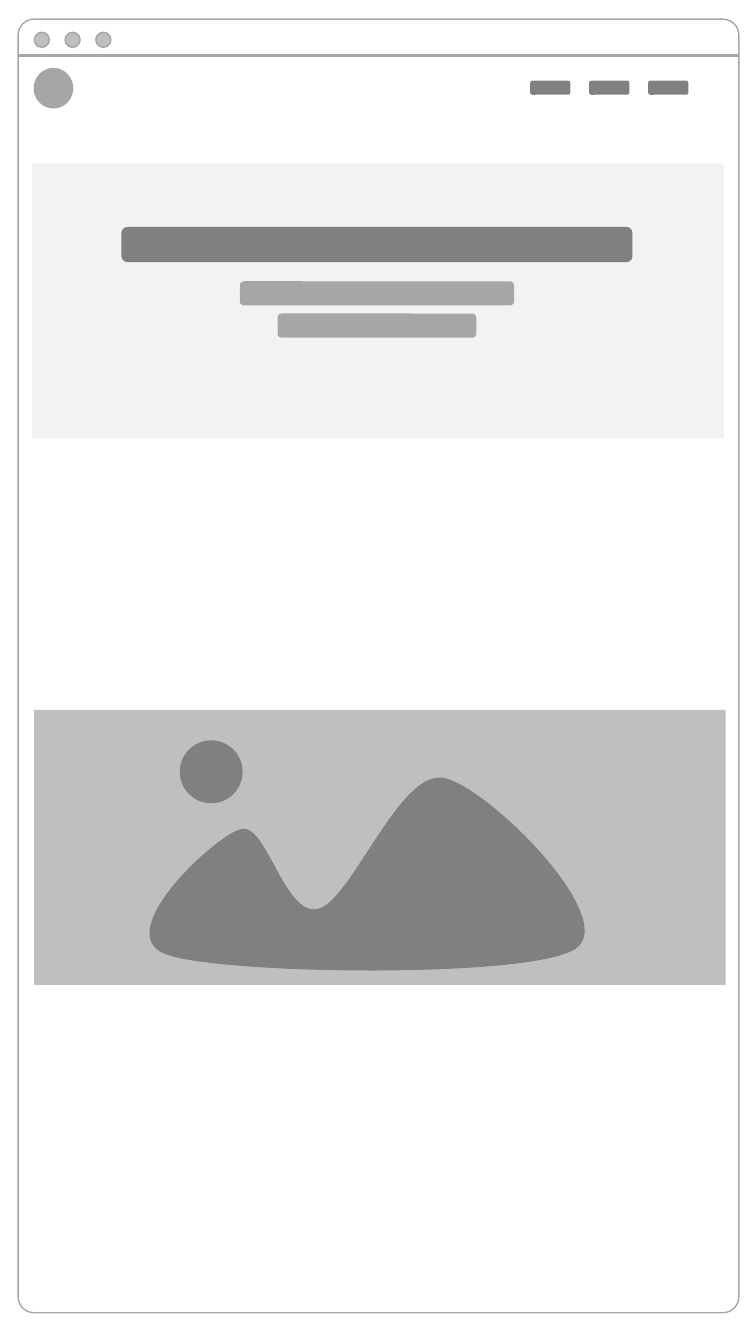
from dataclasses import dataclass

from lxml import etree
from pptx import Presentation
from pptx.dml.color import RGBColor
from pptx.enum.shapes import MSO_CONNECTOR, MSO_SHAPE
from pptx.oxml.ns import qn
from pptx.util import Inches, Pt

RECT = MSO_SHAPE.RECTANGLE
ROUND = MSO_SHAPE.ROUNDED_RECTANGLE
OVAL = MSO_SHAPE.OVAL
STRAIGHT = MSO_CONNECTOR.STRAIGHT


@dataclass(frozen=True)
class Theme:
    """Colours and line widths of the wireframe."""
    dark: str = "808080"
    mid: str = "A6A6A6"
    soft: str = "BFBFBF"
    pale: str = "F2F2F2"
    thin: float = 1
    rule: float = 1.5


THEME = Theme()
HILL = (1.31, 2.42)
CURVES = [
    [(0.76, 2.22), (1.79, 1.26), (2.05, 1.19)],
    [(2.3, 1.12), (2.48, 2.07), (2.82, 1.98)],
    [(3.15, 1.9), (3.62, 0.62), (4.05, 0.68)],
    [(4.47, 0.74), (5.82, 2.08), (5.36, 2.37)],
    [(4.9, 2.66), (1.86, 2.62), HILL],
]


def paint(shape, fill=None, line=None):
    """Set the fill and outline of a shape and drop its shadow."""
    shape.shadow.inherit = False
    if fill:
        shape.fill.solid()
        shape.fill.fore_color.rgb = RGBColor.from_string(fill)
    else:
        shape.fill.background()
    if line:
        shape.line.color.rgb = RGBColor.from_string(line)
        shape.line.width = Pt(THEME.thin)
    else:
        shape.line.fill.background()


def block(shapes, kind, box, fill=None, line=None):
    """Add a painted preset shape in a box given in inches."""
    shape = shapes.add_shape(kind, *map(Inches, box))
    paint(shape, fill, line)
    return shape


def trace(start, curves, steps=24):
    """Return points along a chain of cubic curves."""
    points = []
    for one, two, end in curves:
        for step in range(1, steps + 1):
            t = step / steps
            u = 1 - t
            points.append(tuple(
                u**3 * a + 3 * u * u * t * b + 3 * u * t * t * c + t**3 * d
                for a, b, c, d in zip(start, one, two, end)))
        start = end
    return points


def window(shapes, box):
    """Draw the browser frame with its three buttons and rule."""
    left, top, width, _ = box
    frame = block(shapes, ROUND, box, line=THEME.mid)
    frame.adjustments[0] = 0.022
    for col in range(3):
        block(shapes, OVAL, (left + 0.16 + col * 0.305, top + 0.13, 0.15, 0.15),
              THEME.soft, THEME.mid)
    level = top + 0.36
    rule = shapes.add_connector(STRAIGHT, Inches(left), Inches(level),
                                Inches(left + width), Inches(level))
    rule.line.color.rgb = RGBColor.from_string(THEME.mid)
    rule.line.width = Pt(THEME.rule)
    etree.SubElement(rule.element.spPr, qn("a:effectLst"))


def header(shapes, box):
    """Draw the round badge and the three menu bars."""
    left, top, width, height = box
    block(shapes, OVAL, (left, top, 0.38, height), THEME.mid, THEME.mid)
    for col in range(3):
        block(shapes, ROUND,
              (left + width - 1.57 + col * 0.585, top + 0.12, 0.4, 0.14),
              THEME.dark)


def hero(shapes, box):
    """Draw the pale panel with a heading bar and two centred text bars."""
    left, top, width, _ = box
    group = shapes.add_group_shape().shapes
    block(group, RECT, box, THEME.pale)
    mid = left + width / 2 - 0.01
    bars = [(0.63, 5.07, 0.35, THEME.dark),
            (1.17, 2.72, 0.24, THEME.mid),
            (1.49, 1.97, 0.24, THEME.mid)]
    for down, wide, high, fill in bars:
        block(group, ROUND, (mid - wide / 2, top + down, wide, high), fill)


def photo(shapes, box):
    """Draw the image placeholder with hills and a sun."""
    left, top, _, _ = box
    group = shapes.add_group_shape().shapes
    block(group, RECT, box, THEME.soft)
    points = [(Inches(left + x), Inches(top + y))
              for x, y in trace(HILL, CURVES)]
    pen = group.build_freeform(*points[-1])
    pen.add_line_segments(points, close=True)
    paint(pen.convert_to_shape(), THEME.dark, THEME.dark)
    block(group, OVAL, (left + 1.45, top + 0.31, 0.61, 0.61),
          THEME.dark, THEME.dark)


def main():
    """Build and save the wireframe slide."""
    deck = Presentation()
    deck.slide_width, deck.slide_height = Inches(7.5), Inches(13.33)
    shapes = deck.slides.add_slide(deck.slide_layouts[6]).shapes
    window(shapes, (0.18, 0.19, 7.15, 12.83))
    hero(shapes, (0.32, 1.62, 6.86, 2.73))
    header(shapes, (0.34, 0.68, 6.49, 0.39))
    photo(shapes, (0.34, 7.04, 6.86, 2.73))
    deck.save("out.pptx")


if __name__ == "__main__":
    main()
